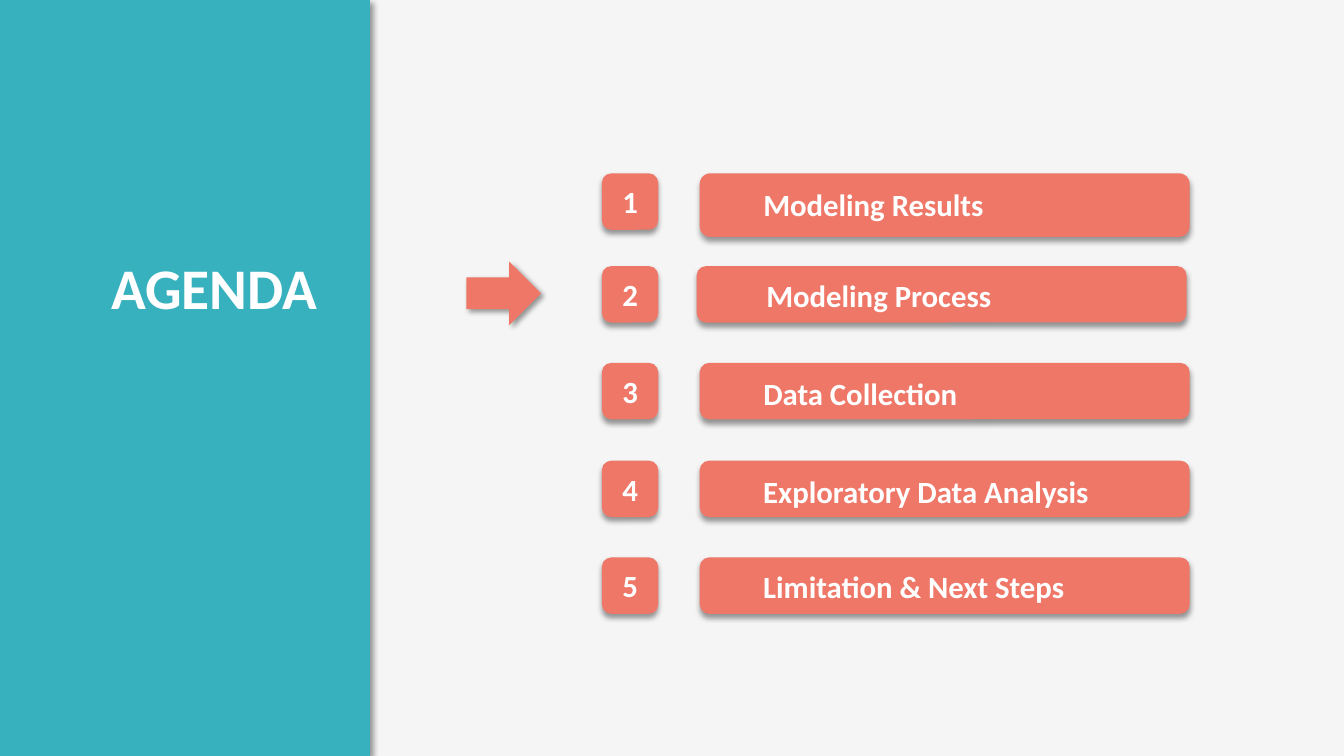
from collections import namedtuple

from lxml import etree
from pptx import Presentation
from pptx.dml.color import RGBColor
from pptx.enum.shapes import MSO_SHAPE
from pptx.enum.text import MSO_ANCHOR, PP_ALIGN
from pptx.oxml.ns import qn
from pptx.util import Pt

PX = 9144  # 100 px to the inch
WIDE, HIGH = 1333, 750

PAPER = RGBColor(0xF5, 0xF5, 0xF5)
TEAL = RGBColor(0x38, 0xB1, 0xBF)
CORAL = RGBColor(0xEF, 0x77, 0x68)
WHITE = RGBColor(0xFF, 0xFF, 0xFF)
BLACK = RGBColor(0, 0, 0)

RECT, ROUND, ARROW = MSO_SHAPE.RECTANGLE, MSO_SHAPE.ROUNDED_RECTANGLE, MSO_SHAPE.DOWN_ARROW
LEFT, CENTER, RIGHT = PP_ALIGN.LEFT, PP_ALIGN.CENTER, PP_ALIGN.RIGHT
TOP, MIDDLE = MSO_ANCHOR.TOP, MSO_ANCHOR.MIDDLE

Box = namedtuple("Box", "x y w h")

# title, top, bar height, bar shift, label left, label drop, label width
TOPICS = [
    ("Modeling Results", 172, 63, 0, 147, 5, 345),
    ("Modeling Process", 264, 56, -3, 150, 4, 345),
    ("Data Collection", 360, 56, 0, 147, 5, 355),
    ("Exploratory Data Analysis", 457, 56, 0, 147, 5, 426),
    ("Limitation & Next Steps", 553, 56, 0, 147, 3, 424),
]


def emu(box):
    return [n * PX for n in box]


def cast(shape, angle):
    """Give the shape a soft shadow that falls at the angle."""
    shape.shadow.inherit = False
    effects = shape._element.spPr.find(qn("a:effectLst"))
    outer = etree.SubElement(
        effects, qn("a:outerShdw"), blurRad=str(Pt(4)), dist=str(Pt(3)),
        dir=str(angle * 60000), algn="ctr", rotWithShape="0")
    color = etree.SubElement(outer, qn("a:srgbClr"), val=str(BLACK))
    etree.SubElement(color, qn("a:alpha"), val="40000")


def block(shapes, kind, box, fill, angle=90):
    shape = shapes.add_shape(kind, *emu(box))
    shape.fill.solid()
    shape.fill.fore_color.rgb = fill
    shape.line.fill.background()
    cast(shape, angle)
    return shape


def write(shape, text, size=22, align=LEFT, anchor=TOP, color=WHITE):
    frame = shape.text_frame
    frame.word_wrap = True
    frame.vertical_anchor = anchor
    frame.margin_left = frame.margin_right = 13 * PX
    frame.margin_top = frame.margin_bottom = 7 * PX
    para = frame.paragraphs[0]
    para.alignment = align
    run = para.add_run()
    run.text = text
    font = run.font
    font.name, font.size, font.bold = "Calibri", Pt(size), True
    font.color.rgb = color


def topics(shapes, box):
    """Numbered tiles, each beside a bar with its label."""
    for num, (title, top, high, shift, left, drop, wide) in enumerate(TOPICS, 1):
        tile = block(shapes, ROUND, Box(box.x, top, 56, 56), CORAL)
        write(tile, str(num), align=CENTER, anchor=MIDDLE)

        # Bar and label belong together
        group = shapes.add_group_shape().shapes
        start = box.x + 97 + shift
        block(group, ROUND, Box(start, top, box.w - 97, high), CORAL)
        label = group.add_textbox(*emu(Box(box.x + left, top + drop, wide, high - 9)))
        write(label, title)


def panel(shapes, box):
    """Side panel with the slide title."""
    block(shapes, RECT, box, TEAL, angle=45)
    title = shapes.add_textbox(*emu(Box(box.x + 33, box.y + 243, 307, 82)))
    write(title, "AGENDA", size=41, align=RIGHT)


def pointer(shapes, box):
    """Arrow that leads from the title to the topics."""
    arrow = block(shapes, ARROW, box, CORAL, angle=45)
    arrow.rotation = 270


def main():
    deck = Presentation()
    deck.slide_width, deck.slide_height = WIDE * PX, HIGH * PX
    slide = deck.slides.add_slide(deck.slide_layouts[6])
    back = slide.background.fill
    back.solid()
    back.fore_color.rgb = PAPER

    topics(slide.shapes, Box(597, 172, 583, 437))
    panel(slide.shapes, Box(-12, 0, 379, HIGH))
    pointer(slide.shapes, Box(468, 254, 63, 74))
    deck.save("out.pptx")


if __name__ == "__main__":
    main()
